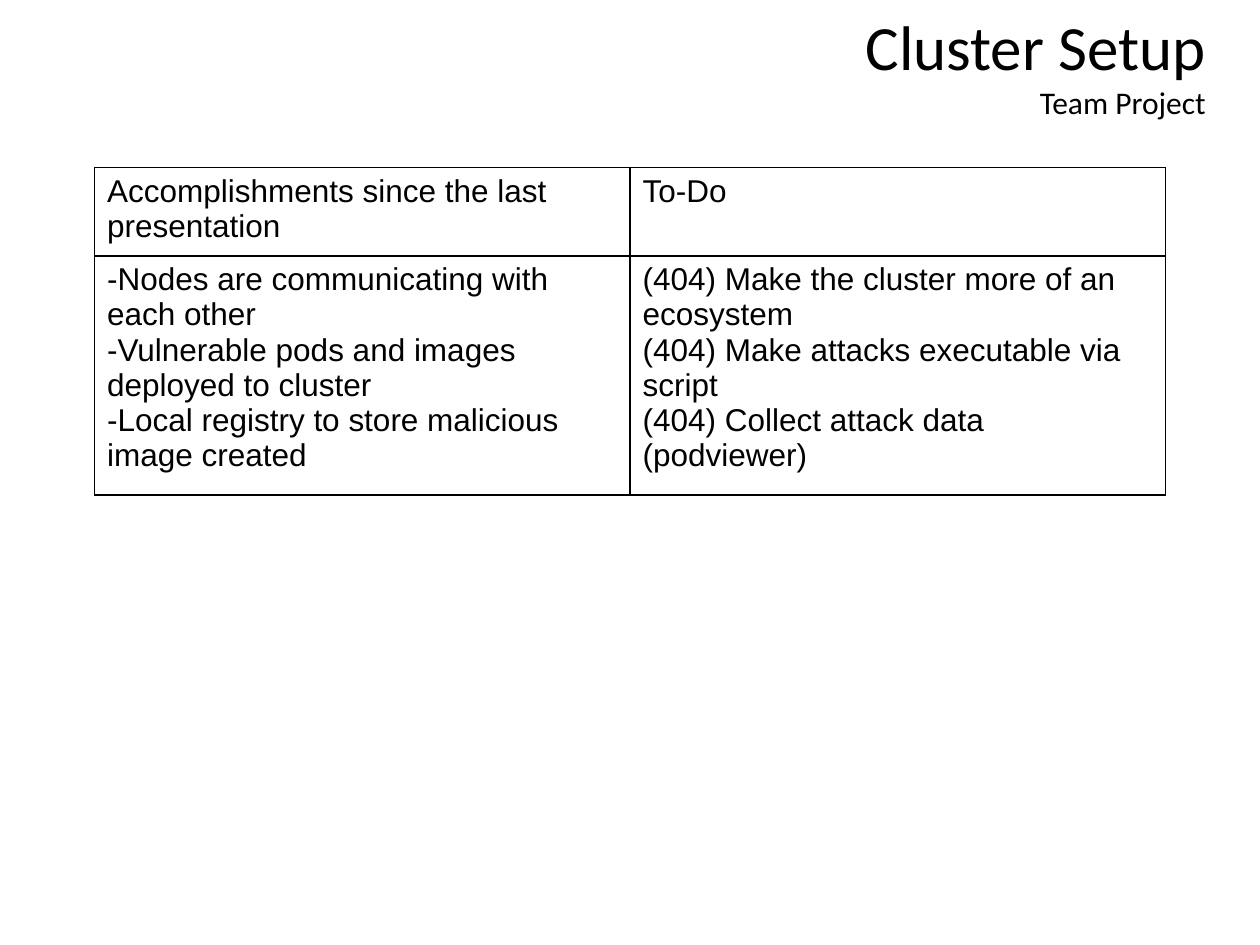
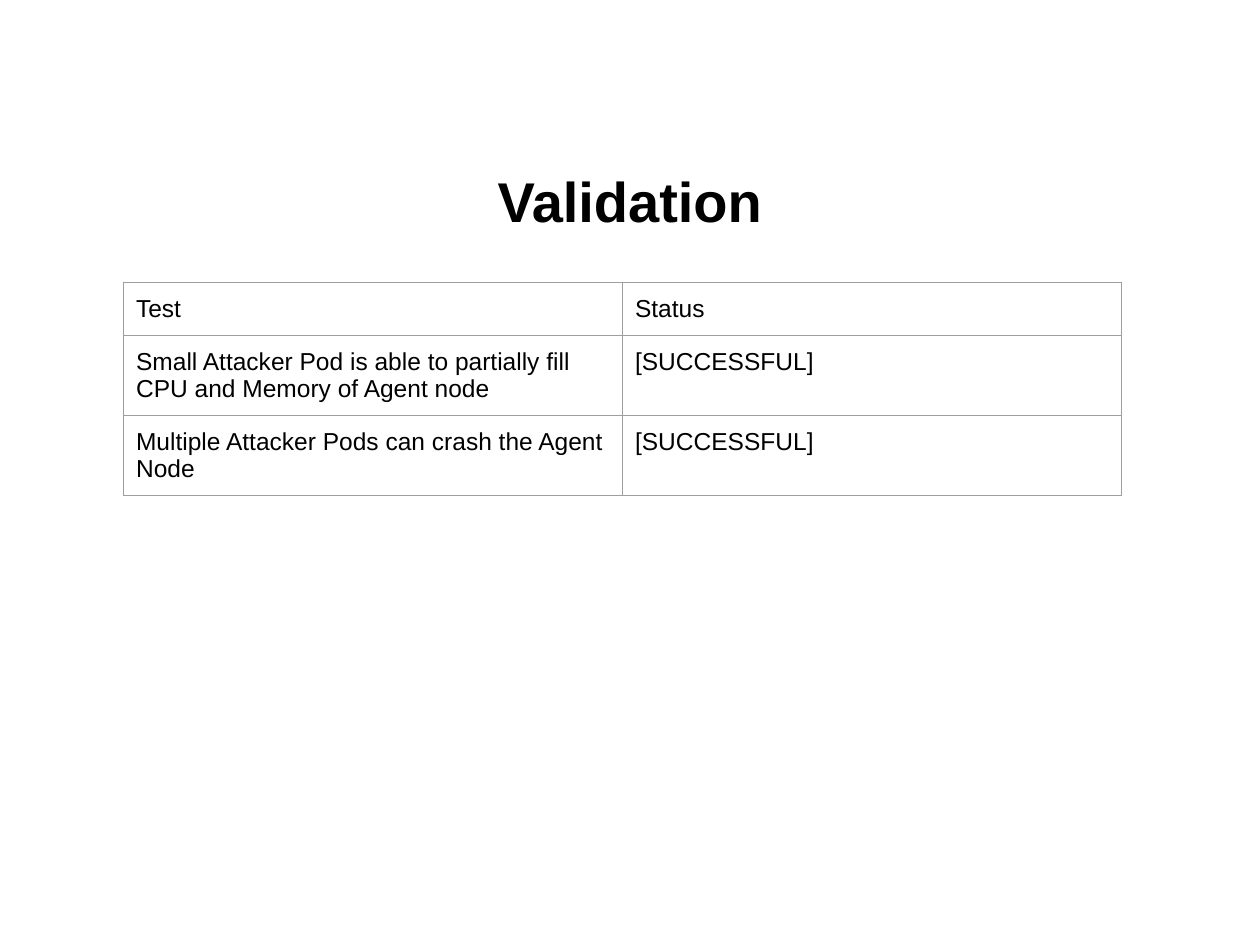
from lxml.etree import SubElement
from pptx import Presentation
from pptx.dml.color import RGBColor
from pptx.enum.text import MSO_ANCHOR, MSO_AUTO_SIZE, PP_ALIGN
from pptx.oxml.ns import qn
from pptx.util import Inches, Pt

COLORS = {"text": "000000", "background": "FFFFFF", "setup_grid": "000000", "validation_grid": "9E9E9E"}


class Deck:
    """Holds the shared style and the current slide."""

    def __init__(self):
        self.presentation = Presentation()
        self.presentation.slide_width = Inches(10)
        self.presentation.slide_height = Inches(7.5)
        self.slide = None

    def add_slide(self):
        self.slide = self.presentation.slides.add_slide(self.presentation.slide_layouts[5])
        background = self.slide.background.fill
        background.solid()
        background.fore_color.rgb = RGBColor.from_string(COLORS["background"])

    def set_text(self, frame, lines, font, sizes, align=PP_ALIGN.LEFT, bold=False):
        frame.word_wrap = True
        frame.text = "\n".join(lines)
        for paragraph, size in zip(frame.paragraphs, sizes):
            paragraph.alignment = align
            paragraph.font.name = font
            paragraph.font.size = Pt(size)
            paragraph.font.bold = bold
            paragraph.font.color.rgb = RGBColor.from_string(COLORS["text"])

    def title(self, box, lines, font, sizes, align, anchor, bold=False):
        heading = self.slide.shapes.title
        heading.left, heading.top, heading.width, heading.height = map(Inches, box)
        frame = heading.text_frame
        frame.auto_size = MSO_AUTO_SIZE.NONE
        frame.vertical_anchor = anchor
        self.set_text(frame, lines, font, sizes, align, bold)

    def border(self, cell, color, width):
        properties = cell._tc.get_or_add_tcPr()
        for position, side in enumerate(("lnL", "lnR", "lnT", "lnB")):
            line = SubElement(properties, qn(f"a:{side}"), w=str(Pt(width)))
            fill = SubElement(line, qn("a:solidFill"))
            SubElement(fill, qn("a:srgbClr"), val=COLORS[color])
            properties.insert(position, line)

    def table(self, left, top, column_width, row_heights, rows, size, padding, grid, line_width):
        columns = len(rows[0])
        table = self.slide.shapes.add_table(
            len(rows), columns, Inches(left), Inches(top),
            Inches(column_width * columns), Inches(sum(row_heights))).table
        table.first_row = table.horz_banding = False
        for row, height in zip(table.rows, row_heights):
            row.height = Inches(height)
        for row, contents in zip(table.rows, rows):
            for cell, lines in zip(row.cells, contents):
                cell.fill.background()
                cell.margin_left = cell.margin_right = Inches(0.1)
                cell.margin_top = cell.margin_bottom = Inches(padding)
                self.set_text(cell.text_frame, lines, "Arial", [size] * len(lines))
                self.border(cell, grid, line_width)


def cluster_setup(deck):
    deck.add_slide()
    deck.title((2.42, 0.01, 7.25, 1.01), ["Cluster Setup", "Team Project"], "Calibri", [36, 18],
               PP_ALIGN.RIGHT, MSO_ANCHOR.TOP)
    accomplishments = [
        "-Nodes are communicating with each other",
        "-Vulnerable pods and images deployed to cluster",
        "-Local registry to store malicious image created",
    ]
    to_do = [
        "(404) Make the cluster more of an ecosystem",
        "(404) Make attacks executable via script",
        "(404) Collect attack data (podviewer)",
    ]
    progress = [
        [["Accomplishments since the last presentation"], ["To-Do"]],
        [accomplishments, to_do],
    ]
    deck.table(0.75, 1.33, 4.25, [0.7, 1.9], progress, 18, 0.05, "setup_grid", 1)


def validation(deck):
    deck.add_slide()
    deck.title((0.5, 1.15, 9, 0.88), ["Validation"], "Arial", [32],
               PP_ALIGN.CENTER, MSO_ANCHOR.MIDDLE, bold=True)
    tests = [
        [["Test"], ["Status"]],
        [["Small Attacker Pod is able to partially fill CPU and Memory of Agent node"], ["[SUCCESSFUL]"]],
        [["Multiple Attacker Pods can crash the Agent Node"], ["[SUCCESSFUL]"]],
    ]
    deck.table(0.98, 2.24, 3.96, [0.42] * len(tests), tests, 14, 0.1, "validation_grid", 0.75)


def main():
    deck = Deck()
    cluster_setup(deck)
    validation(deck)
    deck.presentation.save("out.pptx")


if __name__ == "__main__":
    main()
